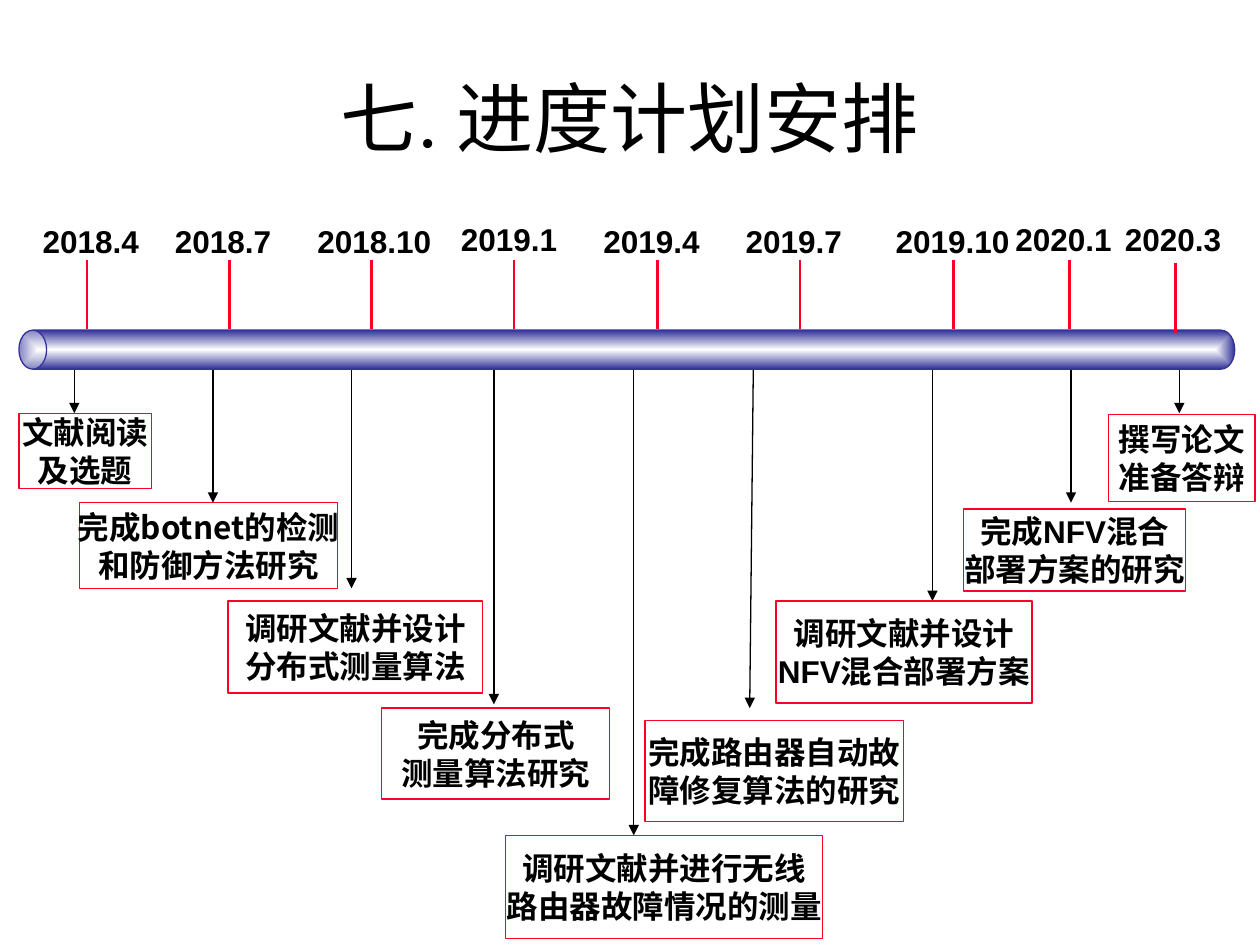
import pptx
import pptx.util
import pptx.oxml
import pptx.oxml.ns
import pptx.dml.color
import pptx.enum.shapes
import pptx.enum.text

Inches = pptx.util.Inches
Pt = pptx.util.Pt
Color = pptx.dml.color.RGBColor
Kind = pptx.enum.shapes.MSO_SHAPE
Align = pptx.enum.text.PP_ALIGN
Anchor = pptx.enum.text.MSO_ANCHOR

BLACK = Color(0, 0, 0)
WHITE = Color(255, 255, 255)
RED = Color(0xFC, 0x01, 0x28)
BLUE = Color(0x33, 0x33, 0x99)
NS = pptx.oxml.ns.nsdecls("a")
ARIAL, NOTO, TIMES = "Arial", "Noto Sans CJK SC", "Times New Roman"


class Board:
    """Draws timeline elements on one slide in a shared style."""

    def __init__(self, slide):
        self.shapes = slide.shapes

    def letter(self, frame, text, font, size=18, bold=True, align=Align.LEFT):
        frame.text = text
        for para in frame.paragraphs:
            para.alignment = align
            for run in para.runs:
                run.font.name = font
                run.font.size = Pt(size)
                run.font.bold = bold
                run.font.color.rgb = BLACK

    def title(self, text):
        box = self.shapes.add_textbox(Inches(0.5), Inches(0.3), Inches(9), Inches(1.25))
        box.text_frame.word_wrap = True
        box.text_frame.vertical_anchor = Anchor.MIDDLE
        self.letter(box.text_frame, text, TIMES, 44, False, Align.CENTER)

    def label(self, text, left, top):
        width = 0.97 if len(text) == 6 else 1.11
        box = self.shapes.add_textbox(Inches(left), Inches(top), Inches(width), Inches(0.4))
        box.text_frame.word_wrap = False
        self.letter(box.text_frame, text, ARIAL)

    def line(self, start, end, color, width, arrow=False):
        line = self.shapes.add_connector(
            pptx.enum.shapes.MSO_CONNECTOR.STRAIGHT, *map(Inches, start + end))
        line.line.color.rgb = color
        line.line.width = Pt(width)
        props = line._element.spPr
        if arrow:
            props.find(pptx.oxml.ns.qn("a:ln")).append(
                pptx.oxml.parse_xml(f'<a:tailEnd {NS} type="triangle"/>'))
        props.append(pptx.oxml.parse_xml(f"<a:effectLst {NS}/>"))

    def shape(self, kind, place, color, adjust):
        shape = self.shapes.add_shape(kind, *map(Inches, place))
        shape.shadow.inherit = False
        shape.adjustments[0] = adjust
        shape.line.color.rgb = color
        shape.line.width = Pt(0.75)
        return shape

    def task(self, text, place, font):
        box = self.shape(Kind.ROUNDED_RECTANGLE, place, RED, 0)
        box.fill.background()
        frame = box.text_frame
        frame.word_wrap = False
        frame.margin_left = frame.margin_right = 0
        frame.vertical_anchor = Anchor.MIDDLE
        self.letter(frame, text, font, align=Align.CENTER)

    def tube(self, place):
        tube = self.shape(Kind.CAN, place, BLUE, 0.71)
        tube.rotation = 270
        tube.fill.gradient()
        for stop, color in zip(tube.fill.gradient_stops, (WHITE, BLUE)):
            stop.color.rgb = color
        grad = tube._element.spPr.find(pptx.oxml.ns.qn("a:gradFill"))
        grad.replace(grad.find(pptx.oxml.ns.qn("a:lin")), pptx.oxml.parse_xml(
            f'<a:path {NS} path="rect"><a:fillToRect l="50000" t="50000"'
            ' r="50000" b="50000"/></a:path>'))


DATES = [
    ("2018.4", 0.24, 1.71, 0.69),
    ("2018.7", 1.29, 1.71, 1.82),
    ("2018.10", 2.42, 1.71, 2.95),
    ("2019.1", 3.56, 1.7, 4.08),
    ("2019.4", 4.69, 1.71, 5.22),
    ("2019.7", 5.82, 1.71, 6.35),
    ("2019.10", 7.01, 1.71, 7.57),
    ("2020.1", 7.96, 1.7, 8.49),
    ("2020.3", 8.83, 1.7, 9.33),
]
TASKS = [
    ("文献阅读\n及选题", (0.15, 3.28, 1.05, 0.6), ARIAL, (0.59, 2.88), (0.59, 3.28)),
    ("完成botnet的检测\n和防御方法研究", (0.63, 3.99, 2.05, 0.68), NOTO, (1.69, 2.88), (1.69, 3.99)),
    ("调研文献并设计\n分布式测量算法", (1.81, 4.77, 2.02, 0.73), NOTO, (2.79, 2.88), (2.79, 4.67)),
    ("完成分布式\n测量算法研究", (3.03, 5.62, 1.81, 0.72), NOTO, (3.92, 2.93), (3.92, 5.59)),
    ("调研文献并进行无线\n路由器故障情况的测量", (4.01, 6.63, 2.52, 0.82), TIMES, (5.03, 2.88), (5.03, 6.63)),
    ("完成路由器自动故\n障修复算法的研究", (5.12, 5.72, 2.05, 0.8), ARIAL, (5.98, 2.81), (5.95, 5.62)),
    ("调研文献并设计\nNFV混合部署方案", (6.16, 4.77, 2.03, 0.81), ARIAL, (7.4, 2.88), (7.4, 4.77)),
    ("完成NFV混合\n部署方案的研究", (7.65, 4.04, 1.76, 0.65), ARIAL, (8.5, 2.88), (8.5, 3.99)),
    ("撰写论文\n准备答辩", (8.8, 3.29, 1.16, 0.69), ARIAL, (9.36, 2.88), (9.36, 3.28)),
]

deck = pptx.Presentation()
deck.slide_width, deck.slide_height = Inches(10), Inches(7.5)
board = Board(deck.slides.add_slide(deck.slide_layouts[6]))
board.title("七. 进度计划安排")
for text, place, font, start, end in TASKS:
    board.line(start, end, BLACK, 0.75, arrow=True)
    board.task(text, place, font)
board.tube((4.82, -2.05, 0.31, 9.65))
for date, left, top, tick in DATES:
    drop = 0.03 if date == "2020.3" else 0
    board.label(date, left, top)
    board.line((tick, 2.06 + drop), (tick, 2.61 + drop), RED, 1.5)
deck.save("out.pptx")
